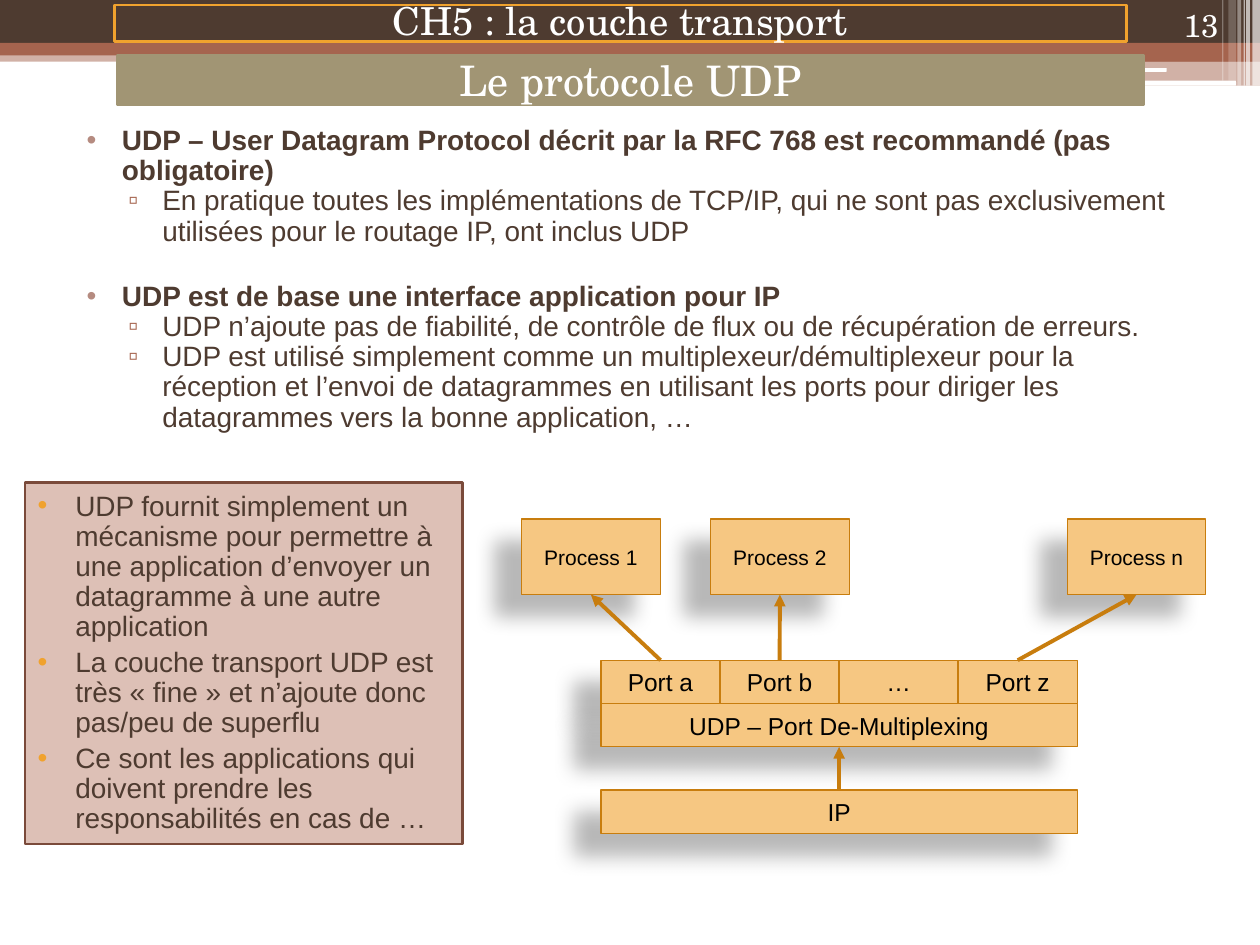
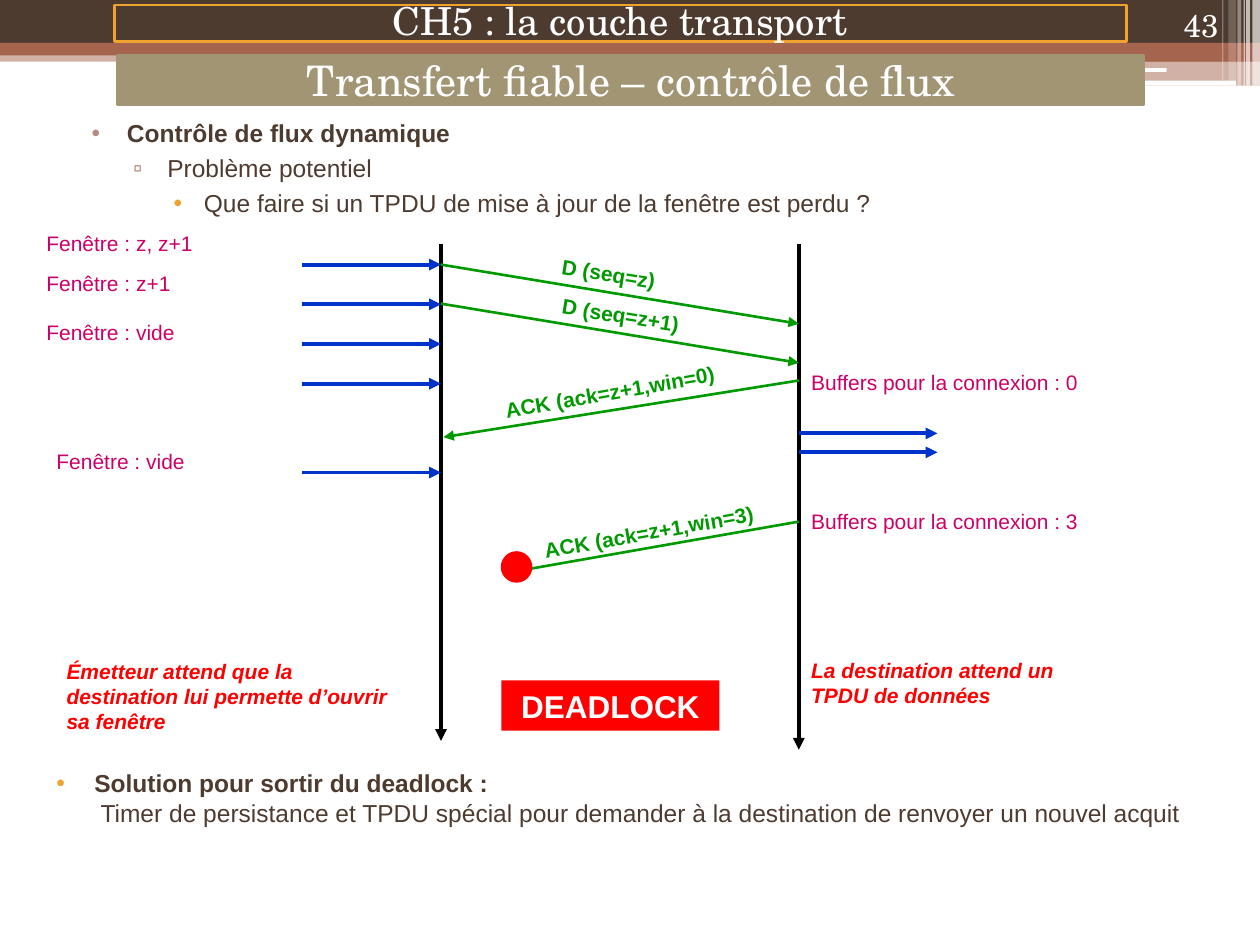
from lxml.etree import SubElement
from pptx import Presentation
from pptx.dml.color import RGBColor
from pptx.enum.shapes import MSO_CONNECTOR as Connector, MSO_SHAPE as Preset
from pptx.enum.text import MSO_ANCHOR as Anchor, MSO_AUTO_SIZE as AutoSize, PP_ALIGN as Align
from pptx.oxml.ns import qn
from pptx.util import Inches, Pt

presentation = Presentation()
presentation.slide_width, presentation.slide_height = Inches(10), Inches(7.5)

# Grid: 100 columns by 75 rows
COLUMN = presentation.slide_width // 100
ROW = presentation.slide_height // 75

# Colours and fonts
color = RGBColor.from_string
BROWN, RUST, ROSE, AMBER, OLIVE = "4E3B30", "A5644E", "B58B80", "F0A22E", "A19574"
PEACH, OCHRE, PINK, MAROON = "F6C782", "C87D0E", "DDC0B6", "7A4A3A"
BLACK, WHITE, RED, GREEN, BLUE, MAGENTA = "000000", "FFFFFF", "FF0000", "009900", "0033CC", "CC0066"
SANS, SERIF = "Arial", "TeX Gyre Schola"

# Text styles: font values, paragraph values, bullet and indent (left, first line)
CENTER = {"alignment": Align.CENTER}
TIGHT = {"line_spacing": 0.9}
SPACED = {"space_before": Pt(3)}


def style(size, ink, paragraph={}, bullet=None, indent=None, name=SANS, **font):
    font = {"name": name, "size": Pt(size), "bold": False, **font}
    return {"font": font, "ink": ink, "paragraph": paragraph, "bullet": bullet, "indent": indent}


LEVEL_1, LEVEL_2, LEVEL_3, FLUSH = (4, -2.8), (7.2, -2.7), (10.1, -2.4), (3, -3)
DOT, SQUARE, AMBER_DOT = ("•", ROSE), ("▫", RUST), ("•", AMBER)
TITLE = style(24, WHITE, CENTER, name=SERIF)
CHAPTER = style(22, WHITE, CENTER | TIGHT, name=SERIF)
NUMBER = style(18, WHITE, {"alignment": Align.RIGHT}, name=SERIF)
HEADING = style(16, BROWN, TIGHT, DOT, LEVEL_1, bold=True)
NEXT_HEADING = style(16, BROWN, TIGHT | {"space_before": Pt(20)}, DOT, LEVEL_1, bold=True)
DETAIL = style(16, BROWN, TIGHT, SQUARE, LEVEL_2)
REMARK = style(16, BROWN, TIGHT, AMBER_DOT, FLUSH)
NEXT_REMARK = style(16, BROWN, TIGHT | SPACED, AMBER_DOT, FLUSH)
PROCESS, PORT = style(12, BLACK, CENTER), style(14, BLACK, CENTER)
TOPIC = style(14, BROWN, TIGHT, DOT, LEVEL_1, bold=True)
SUBTOPIC = style(14, BROWN, SPACED, SQUARE, LEVEL_2)
QUESTION = style(14, BROWN, SPACED, AMBER_DOT, LEVEL_3)
SOLUTION = style(14, BROWN, TIGHT, AMBER_DOT, FLUSH, bold=True)
ANSWER = style(14, BROWN, indent=(3.5, 0))
STATE, MESSAGE = style(12, MAGENTA), style(12, GREEN, bold=True)
WAITING = style(12, RED, bold=True, italic=True)
DEADLOCK = style(18, WHITE, CENTER, bold=True)


def add_box(slide, at, texts=(), fill=None, alpha=100, line=None, preset=Preset.RECTANGLE,
            anchor=Anchor.MIDDLE, wrap=True, rotation=0, shadow=False, shape=None):
    left, top, width, height = at
    frame = {"left": int(left * COLUMN), "top": int(top * ROW),
             "width": int(width * COLUMN), "height": int(height * ROW)}
    if shape is None:
        shape = slide.shapes.add_shape(preset, *frame.values())
    for name, value in (frame | {"rotation": rotation}).items():
        setattr(shape, name, value)
    shape.shadow.inherit = False
    properties = shape.element.spPr

    if fill:
        shape.fill.solid()
        shape.fill.fore_color.rgb = color(fill)
        if alpha < 100:
            SubElement(next(properties.iter(qn("a:srgbClr"))), qn("a:alpha"), val=str(alpha * 1000))
    else:
        shape.fill.background()
    if line:
        shape.line.color.rgb, shape.line.width = color(line[0]), Pt(line[1])
    else:
        shape.line.fill.background()
    if shadow:
        cast = SubElement(properties.find(qn("a:effectLst")), qn("a:outerShdw"),
                          blurRad=str(Pt(11.8)), dist=str(Pt(19.7)), dir=str(141 * 60000),
                          algn="ctr", rotWithShape="0")
        SubElement(SubElement(cast, qn("a:srgbClr"), val=BLACK), qn("a:alpha"), val="28000")

    text_frame = shape.text_frame
    text_frame.word_wrap, text_frame.vertical_anchor = wrap, anchor
    text_frame.auto_size = AutoSize.NONE
    for index, (text, look) in enumerate(texts):
        paragraph = text_frame.add_paragraph() if index else text_frame.paragraphs[0]
        paragraph.text = text
        layout = {"alignment": Align.LEFT} | look["paragraph"]
        for name, value in layout.items():
            setattr(paragraph, name, value)
        settings = paragraph._p.get_or_add_pPr()
        if look["indent"]:
            for name, value in zip(("marL", "indent"), look["indent"]):
                settings.set(name, str(int(value * COLUMN)))
        if look["bullet"]:
            mark, ink = look["bullet"]
            SubElement(SubElement(settings, qn("a:buClr")), qn("a:srgbClr"), val=ink)
            SubElement(settings, qn("a:buFont"), typeface=SANS)
            SubElement(settings, qn("a:buChar"), char=mark)
        for name, value in look["font"].items():
            setattr(paragraph.font, name, value)
        paragraph.font.color.rgb = color(look["ink"])
    return shape


def add_arrow(slide, start, end, ink, width=2.25, head=True):
    points = [int(value) for x, y in (start, end) for value in (x * COLUMN, y * ROW)]
    arrow = slide.shapes.add_connector(Connector.STRAIGHT, *points)
    arrow.line.color.rgb, arrow.line.width = color(ink), Pt(width)
    if head:
        SubElement(arrow.line._get_or_add_ln(), qn("a:tailEnd"), type="triangle")
    SubElement(arrow.element.spPr, qn("a:effectLst"))
    return arrow


# Shared header: bands (frame, fill, opacity, preset)
ROUNDED = Preset.ROUNDED_RECTANGLE
BANDS = [
    ((0, 4, 100, 0.9), RUST, 50, Preset.RECTANGLE),
    ((0, 0, 100, 3.4), BROWN, 100, Preset.RECTANGLE),
    ((0, 3.4, 100, 1), RUST, 100, Preset.RECTANGLE),
    ((59.2, 3.9, 40.8, 1), RUST, 100, Preset.RECTANGLE),
    ((59.2, 4.8, 40.8, 2), RUST, 50, Preset.RECTANGLE),
    ((59.1, 5.4, 33.5, 0.3), WHITE, 100, ROUNDED),
    ((80.6, 6.4, 17.5, 0.4), WHITE, 100, ROUNDED),
]
# Stripes at the right edge: left, width, height, opacity
STRIPES = [(99.4, 0.6, 6.8, 65), (98.9, 0.3, 6.8, 65), (98.7, 0.1, 6.8, 60),
           (98.2, 0.3, 6.8, 40), (97.5, 0.6, 6.4, 20), (97, 0.1, 6.4, 30)]
BANDS += [((left, 0, width, height), WHITE, alpha, Preset.RECTANGLE)
          for left, width, height, alpha in STRIPES]

slides = []
for title, number in [("Le protocole UDP", "13"), ("Transfert fiable – contrôle de flux", "43")]:
    slide = presentation.slides.add_slide(presentation.slide_layouts[5])
    for frame, fill, alpha, preset in BANDS:
        add_box(slide, frame, fill=fill, alpha=alpha, preset=preset)
    placeholder = slide.shapes.title
    placeholder.element.getparent().append(placeholder.element)
    add_box(slide, (9.3, 4.4, 81.5, 3.9), [(title, TITLE)], OLIVE, line=(OLIVE, 1.5), shape=placeholder)
    add_box(slide, (9.1, 0.4, 80.3, 2.9), [("CH5 : la couche transport", CHAPTER)], line=(AMBER, 1.5))
    add_box(slide, (89.4, 0, 8.3, 4), [(number, NUMBER)], anchor=Anchor.BOTTOM)
    slides.append(slide)
udp, flow = slides

# Slide 1: explanation and remarks
add_box(udp, (4.7, 8.4, 90, 27.6), [
    ("UDP – User Datagram Protocol décrit par la RFC 768 est recommandé (pas obligatoire)", HEADING),
    ("En pratique toutes les implémentations de TCP/IP, qui ne sont pas exclusivement "
     "utilisées pour le routage IP, ont inclus UDP", DETAIL),
    ("UDP est de base une interface application pour IP", NEXT_HEADING),
    ("UDP n’ajoute pas de fiabilité, de contrôle de flux ou de récupération de erreurs.", DETAIL),
    ("UDP est utilisé simplement comme un multiplexeur/démultiplexeur pour la réception et l’envoi "
     "de datagrammes en utilisant les ports pour diriger les datagrammes vers la bonne application, …",
     DETAIL),
])
add_box(udp, (2, 38.3, 34.7, 28.7), [
    ("UDP fournit simplement un mécanisme pour permettre à une application d’envoyer "
     "un datagramme à une autre application", REMARK),
    ("La couche transport UDP est très « fine » et n’ajoute donc pas/peu de superflu", NEXT_REMARK),
    ("Ce sont les applications qui doivent prendre les responsabilités en cas de …", NEXT_REMARK),
], PINK, line=(MAROON, 1.5))

# Slide 1: processes, ports and layers
BLOCK = {"fill": PEACH, "line": (OCHRE, 0.75), "wrap": False, "shadow": True}
STACK_LEFT, PORT_WIDTH, LAYER = 47.7, 9.45, 3.44
processes = [add_box(udp, (left, 41.2, 11, 6), [(name, PROCESS)], **BLOCK)
             for name, left in [("Process 1", 41.4), ("Process 2", 56.4), ("Process n", 84.7)]]
ports = {}
for index, name in reversed(list(enumerate(["Port a", "Port b", "…", "Port z"]))):
    frame = (STACK_LEFT + index * PORT_WIDTH, 52.4, PORT_WIDTH, LAYER)
    ports[name] = add_box(udp, frame, [(name, PORT)], **BLOCK)
multiplexer, internet = [
    add_box(udp, (STACK_LEFT, top, 4 * PORT_WIDTH, LAYER), [(name, PORT)], **BLOCK)
    for name, top in [("UDP – Port De-Multiplexing", 52.4 + LAYER), ("IP", 62.7)]]
links = [(ports[name], process) for name, process in zip(("Port a", "Port b", "Port z"), processes)]
for lower, upper in links + [(internet, multiplexer)]:
    arrow = add_arrow(udp, (0, 0), (1, 1), OCHRE)
    arrow.begin_connect(lower, 0)
    arrow.end_connect(upper, 2)

# Slide 2: question and solution
add_box(flow, (5.1, 9.1, 90, 8.7), [
    ("Contrôle de flux dynamique", TOPIC),
    ("Problème potentiel", SUBTOPIC),
    ("Que faire si un TPDU de mise à jour de la fenêtre est perdu ?", QUESTION),
])
add_box(flow, (3.5, 59.9, 93.7, 7.1), [
    ("Solution pour sortir du deadlock :", SOLUTION),
    ("Timer de persistance et TPDU spécial pour demander à la destination "
     "de renvoyer un nouvel acquit", ANSWER),
])

# Slide 2: time lines of sender and receiver
SENDER, RECEIVER, REACH = 35, 63.4, 11
for x, bottom in [(SENDER, 58.8), (RECEIVER, 59.5)]:
    add_arrow(flow, (x, 19.4), (x, bottom), BLACK)

# Slide 2: exchanges with the applications
sends = [21 + 3.15 * index for index in range(4)] + [37.5]
for x, rows in [(SENDER - REACH, sends), (RECEIVER, [34.4, 35.9])]:
    for y in rows:
        add_arrow(flow, (x, y), (x + REACH, y), BLUE)

# Slide 2: messages (start, end, arrowhead, label, label frame, rotation)
MESSAGES = [
    ((SENDER, 21), (RECEIVER, 25.7), True, "D (seq=z)", (43.6, 20.2, 9.5, 3), 9.2),
    ((SENDER, 24.1), (RECEIVER, 28.8), True, "D (seq=z+1)", (43.6, 23.5, 11.4, 3), 9.2),
    ((RECEIVER, 30.2), (35.2, 34.7), True, "ACK (ack=z+1,win=0)", (39, 29.6, 18.8, 3), 350),
    ((RECEIVER, 41.4), (40.6, 45.4), False, "ACK (ack=z+1,win=3)", (42.1, 40.7, 18.8, 3), 350),
]
for start, end, head, label, frame, rotation in MESSAGES:
    add_arrow(flow, start, end, GREEN, 1.5, head)
    add_box(flow, frame, [(label, MESSAGE)], wrap=False, rotation=rotation)
add_box(flow, (39.8, 43.8, 2.4, 2.4), fill=RED, line=(RED, 0.75), preset=Preset.OVAL)

# Slide 2: states, waits and deadlock
STATES = [("Fenêtre : z, z+1", 2.7, 17.8), ("Fenêtre : z+1", 2.7, 21), ("Fenêtre : vide", 2.7, 24.9),
          ("Fenêtre : vide", 3.5, 35.1), ("Buffers pour la connexion : 0", RECEIVER, 28.8),
          ("Buffers pour la connexion : 3", RECEIVER, 39.9)]
for text, left, top in STATES:
    add_box(flow, (left, top, 26, 3), [(text, STATE)])
add_box(flow, (4.3, 51.7, 27.6, 7.1),
        [("Émetteur attend que la destination lui permette d’ouvrir sa fenêtre", WAITING)])
add_box(flow, (RECEIVER, 51.7, 26, 5), [("La destination attend un TPDU de données", WAITING)])
add_box(flow, (39.8, 54, 17.3, 4), [("DEADLOCK", DEADLOCK)], RED)

presentation.save("out.pptx")
